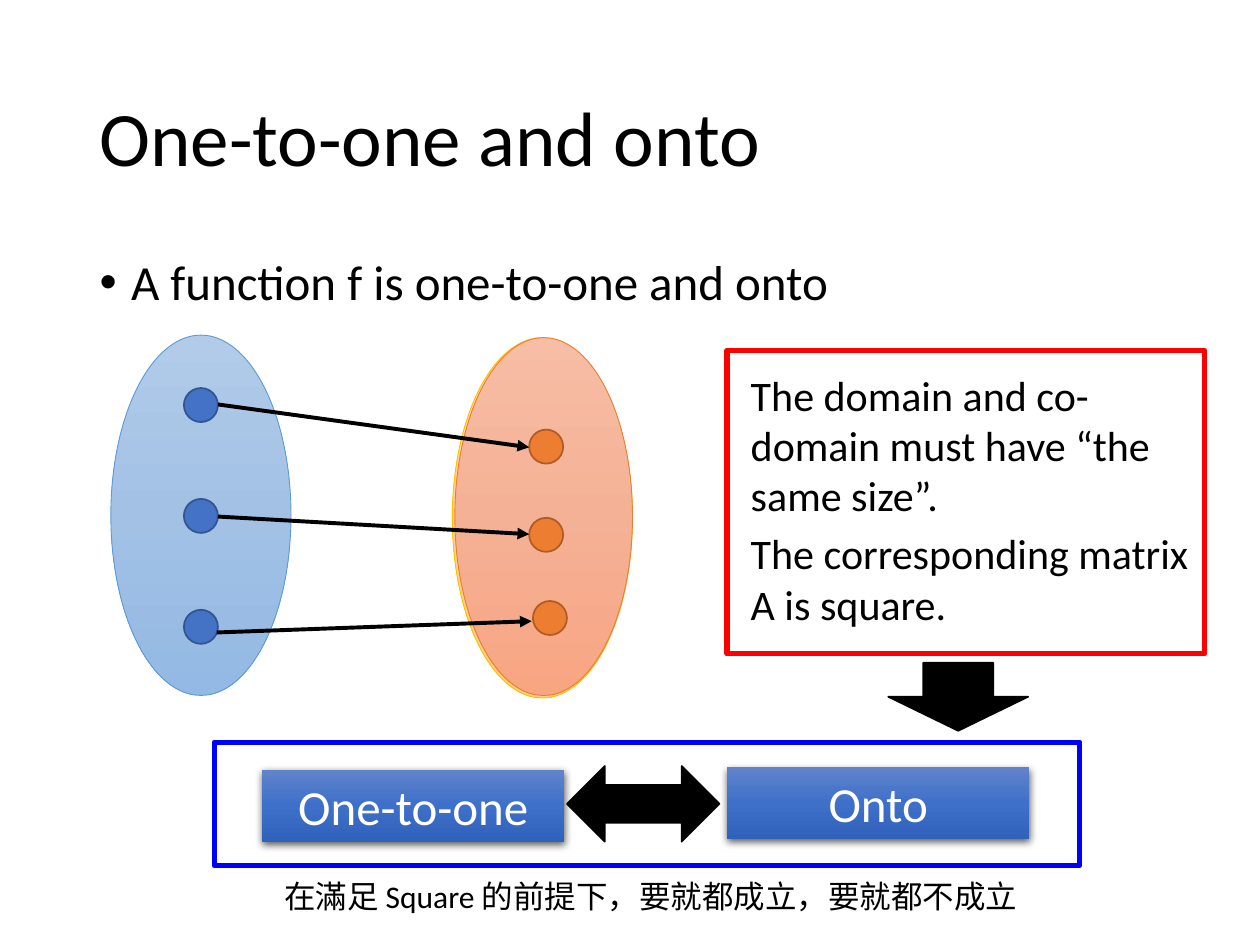
from lxml import etree
from pptx import Presentation, util as u
from pptx.dml.color import RGBColor
from pptx.enum import shapes, text
from pptx.oxml.ns import qn

FONT = "Calibri"
BLACK, WHITE = "000000", "FFFFFF"
TITLE = "One-to-one and onto"
CLAIM = "A function f is one-to-one and onto"
CAPTION = "在滿足 Square 的前提下，要就都成立，要就都不成立"

# Boxes are (left, top, width, height) in inches
SETS = [
    ((3.59, 2.68, 1.43, 2.86), ("FFDB9E", "FFD590", "FFD07C"), "FFC000"),
    ((3.61, 2.68, 1.41, 2.84), ("F7BDA5", "F5B196", "F8A582"), "ED7D31"),
]
DOMAIN = ((0.88, 2.66, 1.43, 2.86), ("B1CBE9", "A3C1E5", "93B9E4"), "5B9BD5")
DOT = 0.27
DOMAIN_DOTS = [(1.46, 3.08 + 0.88 * row) for row in range(3)]
CODOMAIN_DOTS = [(4.2, 3.41), (4.2, 4.11), (4.23, 4.77)]
MAPPINGS = [
    ((1.73, 3.21), (4.2, 3.55)),
    ((1.73, 4.1), (4.2, 4.24)),
    ((1.72, 5.02), (4.22, 4.93)),
]
REMARKS = [
    ("The domain and co-domain must have “the same size”.", (5.86, 2.88, 3.69, 1.31)),
    ("The corresponding matrix A is square.", (5.86, 4.14, 3.87, 0.91)),
]
FRAMES = [((5.77, 2.78, 3.79, 2.41), "FF0000"), ((1.7, 5.89, 6.87, 0.98), "0000FF")]
PROPERTIES = [("One-to-one", (2.08, 6.11, 2.4, 0.57)), ("Onto", (5.77, 6.09, 2.4, 0.57))]
PROPERTY_FILL = ("6183CB", "3E70CA", "3062BB")
BLOCK_ARROWS = [
    (shapes.MSO_SHAPE.LEFT_RIGHT_ARROW, (4.5, 6.08, 1.21, 0.6)),
    (shapes.MSO_SHAPE.DOWN_ARROW, (7.05, 5.26, 1.11, 0.54)),
]


def color(value):
    return RGBColor.from_string(value)


def inches(lengths):
    return [u.Inches(length) for length in lengths]


def write(frame, words, size, ink=BLACK, align=text.PP_ALIGN.LEFT):
    frame.word_wrap = True
    paragraph = frame.paragraphs[0]
    paragraph.alignment = align
    run = paragraph.add_run()
    run.text = words
    run.font.name, run.font.size = FONT, u.Pt(size)
    run.font.color.rgb = color(ink)
    return paragraph


def place(placeholder, box):
    placeholder.left, placeholder.top, placeholder.width, placeholder.height = inches(box)


def add_child(parent, tag, **attributes):
    return etree.SubElement(parent, qn(tag), **attributes)


def fill_gradient(shape, colors):
    """Fill from top to bottom with evenly spaced stops."""
    shape.fill.gradient()
    shape.fill.gradient_angle = 270
    stops = shape._element.spPr.find(".//" + qn("a:gsLst"))
    for stop in list(stops):
        stops.remove(stop)
    for index, value in enumerate(colors):
        position = 100000 * index // (len(colors) - 1)
        stop = add_child(stops, "a:gs", pos=str(position))
        add_child(stop, "a:srgbClr", val=value)


def add_figure(parent, kind, box, fill=None, line=None, width=1):
    """Draw a preset shape; fill is one colour, a tuple of stops or None."""
    shape = parent.add_shape(kind, *inches(box))
    shape.shadow.inherit = False
    if fill is None:
        shape.fill.background()
    elif isinstance(fill, tuple):
        fill_gradient(shape, fill)
    else:
        shape.fill.solid()
        shape.fill.fore_color.rgb = color(fill)
    if line is None:
        shape.line.fill.background()
    else:
        shape.line.color.rgb = color(line)
        shape.line.width = u.Pt(width)
    return shape


def add_dots(parent, corners, fill, line):
    for corner in corners:
        add_figure(parent, shapes.MSO_SHAPE.OVAL, (*corner, DOT, DOT), fill, line)


def add_mapping(parent, start, end):
    arrow = parent.add_connector(shapes.MSO_CONNECTOR.STRAIGHT, *inches(start + end))
    arrow.line.color.rgb = color(BLACK)
    arrow.line.width = u.Pt(2.25)
    add_child(arrow.line._get_or_add_ln(), "a:tailEnd", type="triangle")
    add_child(arrow._element.spPr, "a:effectLst")


def add_drop_shadow(shape):
    effects = shape._element.spPr.find(qn("a:effectLst"))
    shadow = add_child(effects, "a:outerShdw", blurRad=str(u.Pt(4.5)), dist=str(u.Pt(1.5)),
                       dir="5400000", algn="ctr", rotWithShape="0")
    tint = add_child(shadow, "a:srgbClr", val=BLACK)
    add_child(tint, "a:alpha", val="63000")


def add_headings(slide):
    title, body = slide.placeholders
    place(title, (0.69, 0.4, 8.62, 1.45))
    title.text_frame.vertical_anchor = text.MSO_ANCHOR.MIDDLE
    write(title.text_frame, TITLE, 44).line_spacing = 0.9
    place(body, (0.69, 2, 8.62, 4.76))
    claim = write(body.text_frame, CLAIM, 28)
    claim.line_spacing, claim.space_before = 0.9, u.Pt(0)
    properties = claim._p.get_or_add_pPr()
    properties.set("marL", str(u.Inches(0.25)))
    properties.set("indent", str(u.Inches(-0.25)))
    add_child(properties, "a:buChar", char="•")


def add_function_diagram(canvas):
    for box, fill, line in SETS:
        add_figure(canvas, shapes.MSO_SHAPE.OVAL, box, fill, line, 0.5)
    domain = canvas.add_group_shape().shapes
    add_figure(domain, shapes.MSO_SHAPE.OVAL, *DOMAIN, 0.5)
    add_dots(domain, DOMAIN_DOTS, "4472C4", "325491")
    add_dots(canvas, CODOMAIN_DOTS, "ED7D31", "AF5C24")
    for start, end in MAPPINGS:
        add_mapping(canvas, start, end)


def add_conclusion(canvas):
    for words, box in REMARKS:
        write(canvas.add_textbox(*inches(box)).text_frame, words, 24)
    for words, box in PROPERTIES:
        label = add_figure(canvas, shapes.MSO_SHAPE.RECTANGLE, box, PROPERTY_FILL)
        add_drop_shadow(label)
        write(label.text_frame, words, 28, WHITE, text.PP_ALIGN.CENTER)
    for kind, box in BLOCK_ARROWS:
        add_figure(canvas, kind, box, BLACK, BLACK)
    for box, line in FRAMES:
        add_figure(canvas, shapes.MSO_SHAPE.RECTANGLE, box, None, line, 3)
    caption = canvas.add_textbox(*inches((1.7, 6.91, 6.93, 0.4)))
    write(caption.text_frame, CAPTION, 18, align=text.PP_ALIGN.CENTER)


def main():
    deck = Presentation()
    deck.slide_width, deck.slide_height = inches((10, 7.5))
    slide = deck.slides.add_slide(deck.slide_layouts[1])
    add_headings(slide)
    add_function_diagram(slide.shapes)
    add_conclusion(slide.shapes)
    deck.save("out.pptx")


if __name__ == "__main__":
    main()
